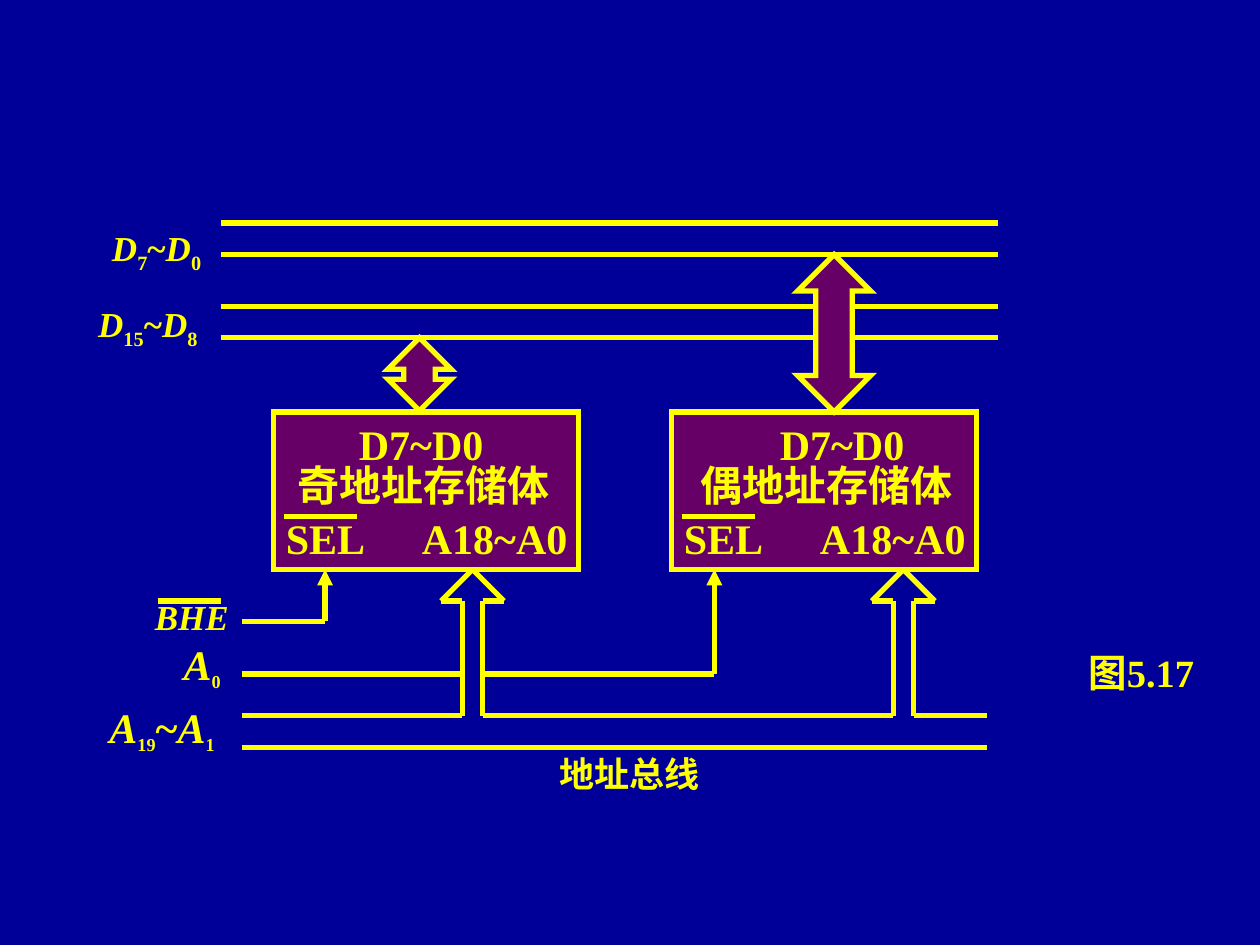
from pptx import Presentation
from pptx.dml.color import RGBColor
from pptx.enum.shapes import MSO_CONNECTOR as Link, MSO_SHAPE as Kind
from pptx.enum.text import MSO_AUTO_SIZE as Fit
from pptx.oxml.ns import qn
from pptx.util import Inches, Pt
from lxml import etree

BLUE, PLUM, GOLD = "000099", "660066", "FFFF00"
ITAL, SUB = {"italic": True}, {"sub": True}


def color(fmt, code):
    """Set a solid colour on a fill."""
    fmt.solid()
    fmt.fore_color.rgb = RGBColor.from_string(code)


def wire(slide, x1, y1, x2, y2, tip=False):
    """Draw one gold line, with an arrowhead at its end if asked."""
    link = slide.shapes.add_connector(
        Link.STRAIGHT, Inches(x1), Inches(y1), Inches(x2), Inches(y2))
    color(link.line.fill, GOLD)
    link.line.width = Pt(3)
    props = link._element.spPr
    if tip:
        etree.SubElement(props.find(qn("a:ln")), qn("a:tailEnd"), type="triangle")
    etree.SubElement(props, qn("a:effectLst"))


def trace(slide, *dots):
    """Join a row of points with lines."""
    for start, end in zip(dots, dots[1:]):
        wire(slide, *start, *end)


def solid(slide, kind, box, adj=()):
    """Draw a plum shape with a sharp gold outline."""
    shape = slide.shapes.add_shape(kind, *map(Inches, box))
    shape.shadow.inherit = False
    color(shape.fill, PLUM)
    color(shape.line.fill, GOLD)
    shape.line.width = Pt(3)
    edge = shape._element.spPr.find(qn("a:ln"))
    etree.SubElement(edge, qn("a:miter"), lim="800000")
    for i, value in enumerate(adj):
        shape.adjustments[i] = value


def label(slide, box, size, *parts):
    """Write a one-line label from pairs of text and format."""
    shape = slide.shapes.add_textbox(*map(Inches, box))
    frame = shape.text_frame
    frame.word_wrap = False
    frame.auto_size = Fit.SHAPE_TO_FIT_TEXT
    for text, style in parts:
        run = frame.paragraphs[0].add_run()
        run.text = text
        form = {"name": "Times New Roman", "size": Pt(size), "bold": True, **style}
        if form.pop("sub", False):
            run.font._element.set("baseline", "-25000")
            if size == 24:
                form["size"] = Pt(18)
        for key, value in form.items():
            setattr(run.font, key, value)
        color(run.font.fill, GOLD)


def span(slide, box, size, name, high, low):
    """Write a signal range such as a name with high and low subscripts."""
    label(slide, box, size, (name, ITAL), (high, SUB), ("~", {}),
          (name, ITAL), (low, SUB))


def bank(slide, x, y, name, shift, port):
    """Draw a memory bank with its pins."""
    solid(slide, Kind.RECTANGLE, (x, y, 2.42, 1.25))
    pins = ((name, shift, 0.33, 2.22), ("D7~D0", port, 0, 1.22),
            ("SEL", 0, 0.75, 0.86), ("A18~A0", 1.08, 0.75, 1.4))
    for text, dx, dy, wide in pins:
        label(slide, (x + dx, y + dy, wide, 0.5), 24, (text, {}))
    wire(slide, x + 0.08, y + 0.83, x + 0.66, y + 0.83)


def data_bus(slide, x, y, wide):
    """Draw the two data buses, their names and the links to the banks."""
    for dy in (0, 0.25, 0.66, 0.91):
        wire(slide, x, y + dy, x + wide, y + dy)
    solid(slide, Kind.UP_DOWN_ARROW, (x + 1.33, y + 0.91, 0.5, 0.58), (0.23, 0.5))
    solid(slide, Kind.UP_DOWN_ARROW, (x + 4.58, y + 0.25, 0.58, 1.25), (0.43, 0.5))
    for arrow in list(slide.shapes)[-2:]:
        arrow.adjustments[0], arrow.adjustments[1] = (
            arrow.adjustments[1], arrow.adjustments[0])
    span(slide, (x - 0.96, y - 0.02, 0.94, 0.48), 20, "D", "7", "0")
    span(slide, (x - 1.07, y + 0.58, 1.02, 0.48), 20, "D", "15", "8")


def riser(slide, mid, top, base):
    """Draw an open arrow that rises from the address bus."""
    neck = top + 0.25
    for side in (-1, 1):
        edge = mid + side * 0.08
        trace(slide, (edge, base), (edge, neck),
              (mid + side * 0.25, neck), (mid, top))


def address_bus(slide, x, y, right):
    """Draw the select lines and the address bus below the banks."""
    left, far, base = 3.75, 7.17, 5.68
    wire(slide, x, 4.93, 2.58, 4.93)
    wire(slide, 2.58, 4.93, 2.58, y, True)
    wire(slide, x, 5.35, left - 0.08, 5.35)
    wire(slide, left + 0.08, 5.35, 5.67, 5.35)
    wire(slide, 5.67, 5.35, 5.67, y, True)
    ends = (x, left - 0.08, left + 0.08, far - 0.08, far + 0.08, right)
    for start, end in zip(ends[::2], ends[1::2]):
        wire(slide, start, base, end, base)
    wire(slide, x, base + 0.25, right, base + 0.25)
    for mid in (left, far):
        riser(slide, mid, y, base)
    label(slide, (1.13, 4.68, 0.82, 0.44), 20, ("BHE", ITAL))
    wire(slide, 1.25, 4.77, 1.75, 4.77)
    label(slide, (1.36, 5.02, 0.54, 0.53), 24, ("A", ITAL), ("0", SUB))
    span(slide, (0.77, 5.52, 1.08, 0.53), 24, "A", "19", "1")
    label(slide, (4.34, 5.92, 1.33, 0.44), 20, ("地址总线", {}))


def main():
    """Build the slide and save it."""
    deck = Presentation()
    deck.slide_width, deck.slide_height = Inches(10), Inches(7.5)
    slide = deck.slides.add_slide(deck.slide_layouts[6])
    color(slide.background.fill, BLUE)
    bank(slide, 2.17, 3.27, "奇地址存储体", 0.09, 0.58)
    bank(slide, 5.33, 3.27, "偶地址存储体", 0.13, 0.76)
    data_bus(slide, 1.75, 1.77, 6.17)
    address_bus(slide, 1.92, 4.52, 7.83)
    label(slide, (8.54, 5.1, 1.13, 0.47), 22, ("图5.17", {}))
    deck.save("out.pptx")


if __name__ == "__main__":
    main()
